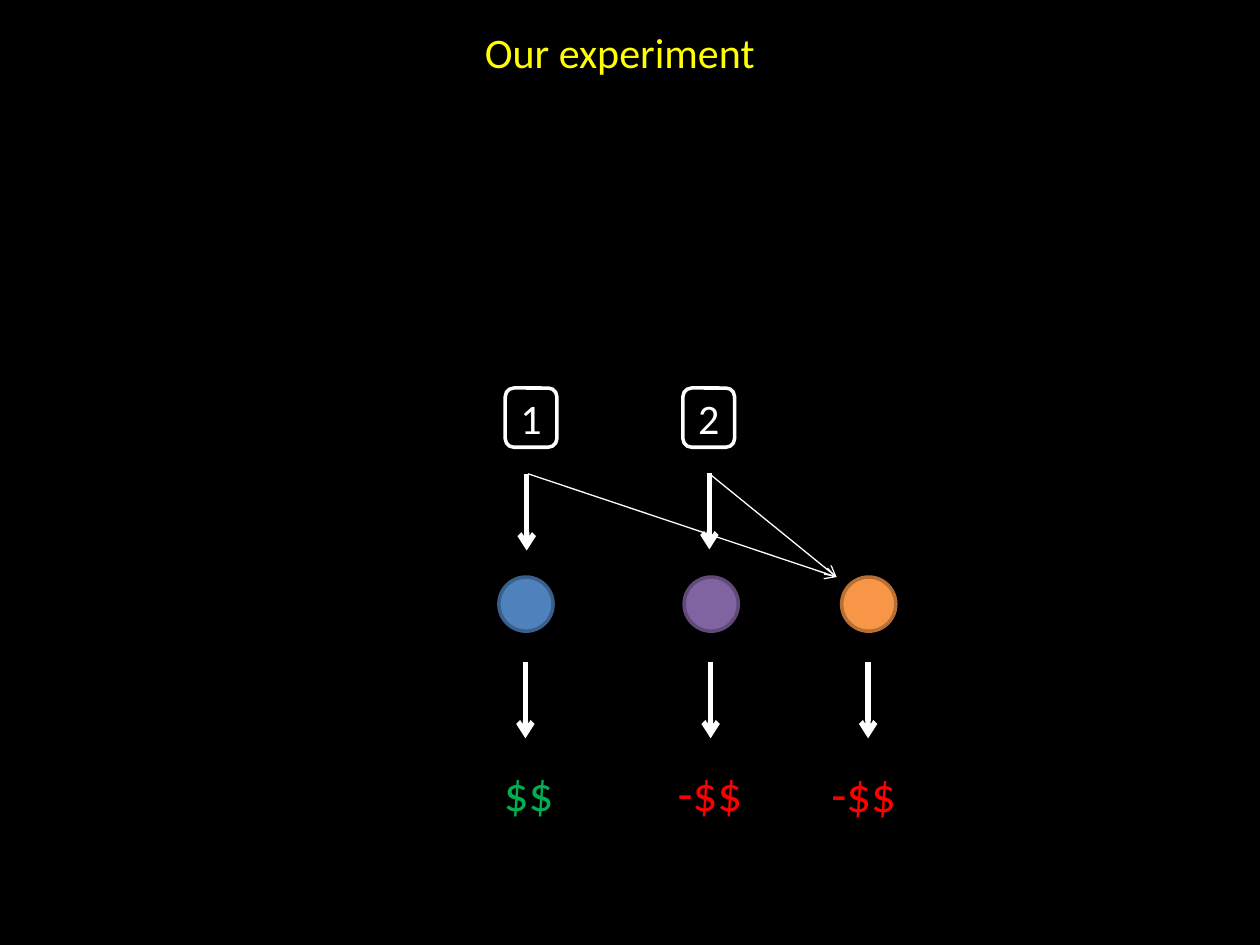
from pptx import Presentation
from pptx.dml.color import RGBColor
from pptx.enum.shapes import MSO_CONNECTOR as Connector, MSO_SHAPE as Shape
from pptx.enum.text import MSO_ANCHOR as Anchor, MSO_AUTO_SIZE as AutoSize, PP_ALIGN as Align
from pptx.oxml.ns import qn
from pptx.util import Inches, Pt
from lxml import etree

WHITE, YELLOW, GREEN, RED = "FFFFFF", "FFFF00", "00B050", "FF0000"


def color(hex_code):
    return RGBColor.from_string(hex_code)


def set_font(paragraph, size, hex_code):
    paragraph.font.name = "Calibri"
    paragraph.font.size = Pt(size)
    paragraph.font.color.rgb = color(hex_code)


def add_label(slide, box, text, size, hex_code):
    label = slide.shapes.add_textbox(*map(Inches, box))
    frame = label.text_frame
    frame.word_wrap = False
    frame.auto_size = AutoSize.SHAPE_TO_FIT_TEXT
    frame.text = text
    set_font(frame.paragraphs[0], size, hex_code)


def add_outlined(slide, kind, box, line, fill=None):
    shape = slide.shapes.add_shape(kind, *map(Inches, box))
    shape.shadow.inherit = False
    if fill:
        shape.fill.solid()
        shape.fill.fore_color.rgb = color(fill)
    else:
        shape.fill.background()
    shape.line.color.rgb = color(line)
    shape.line.width = Pt(2)
    return shape


def add_arrow(slide, start, end, width):
    arrow = slide.shapes.add_connector(Connector.STRAIGHT, *map(Inches, (*start, *end)))
    arrow.line.color.rgb = color(WHITE)
    arrow.line.width = Pt(width)
    etree.SubElement(arrow.line._get_or_add_ln(), qn("a:tailEnd"), type="arrow")
    etree.SubElement(arrow._element.spPr, qn("a:effectLst"))


def add_choice(slide, box, number, arrow_start):
    """Numbered box with a thick arrow down to its state."""
    shape = add_outlined(slide, Shape.ROUNDED_RECTANGLE, box, WHITE)
    frame = shape.text_frame
    frame.vertical_anchor = Anchor.MIDDLE
    frame.text = number
    frame.paragraphs[0].alignment = Align.CENTER
    set_font(frame.paragraphs[0], 24, WHITE)
    x, y = arrow_start
    add_arrow(slide, (x, y), (x, y + 0.61), 3)


def add_state(slide, box, fill, line, arrow_x, outcome_box, outcome, outcome_color):
    """Coloured circle with a thick arrow down to its payoff."""
    add_outlined(slide, Shape.OVAL, box, line, fill)
    add_arrow(slide, (arrow_x, 5.25), (arrow_x, 5.86), 3)
    add_label(slide, outcome_box, outcome, 28, outcome_color)


def main():
    presentation = Presentation()
    presentation.slide_width, presentation.slide_height = Inches(10), Inches(7.5)
    slide = presentation.slides.add_slide(presentation.slide_layouts[6])
    slide.background.fill.solid()
    slide.background.fill.fore_color.rgb = color("000000")

    # Title
    add_label(slide, (3.75, 0.16, 2.37, 0.5), "Our experiment", 24, YELLOW)

    # States and their payoffs
    states = [
        (3.96, "4F81BD", "3A5F8C", 4.17, (3.9, 6, 0.6, 0.57), "$$", GREEN),
        (5.43, "8064A2", "5F4A78", 5.64, (5.28, 6, 0.72, 0.57), "-$$", RED),
        (6.68, "F79646", "B76F34", 6.89, (6.5, 6.01, 0.72, 0.57), "-$$", RED),
    ]
    for left, *details in states:
        add_state(slide, (left, 4.58, 0.43, 0.43), *details)

    # Choices and their common transitions
    choices = [(4.01, "1", (4.18, 3.76)), (5.42, "2", (5.63, 3.75))]
    for left, number, arrow_start in choices:
        add_choice(slide, (left, 3.08, 0.41, 0.47), number, arrow_start)

    # Rare transitions, both to the third state
    for x in (4.19, 5.63):
        add_arrow(slide, (x, 3.76), (6.64, 4.58), 0.75)

    presentation.save("out.pptx")


if __name__ == "__main__":
    main()
